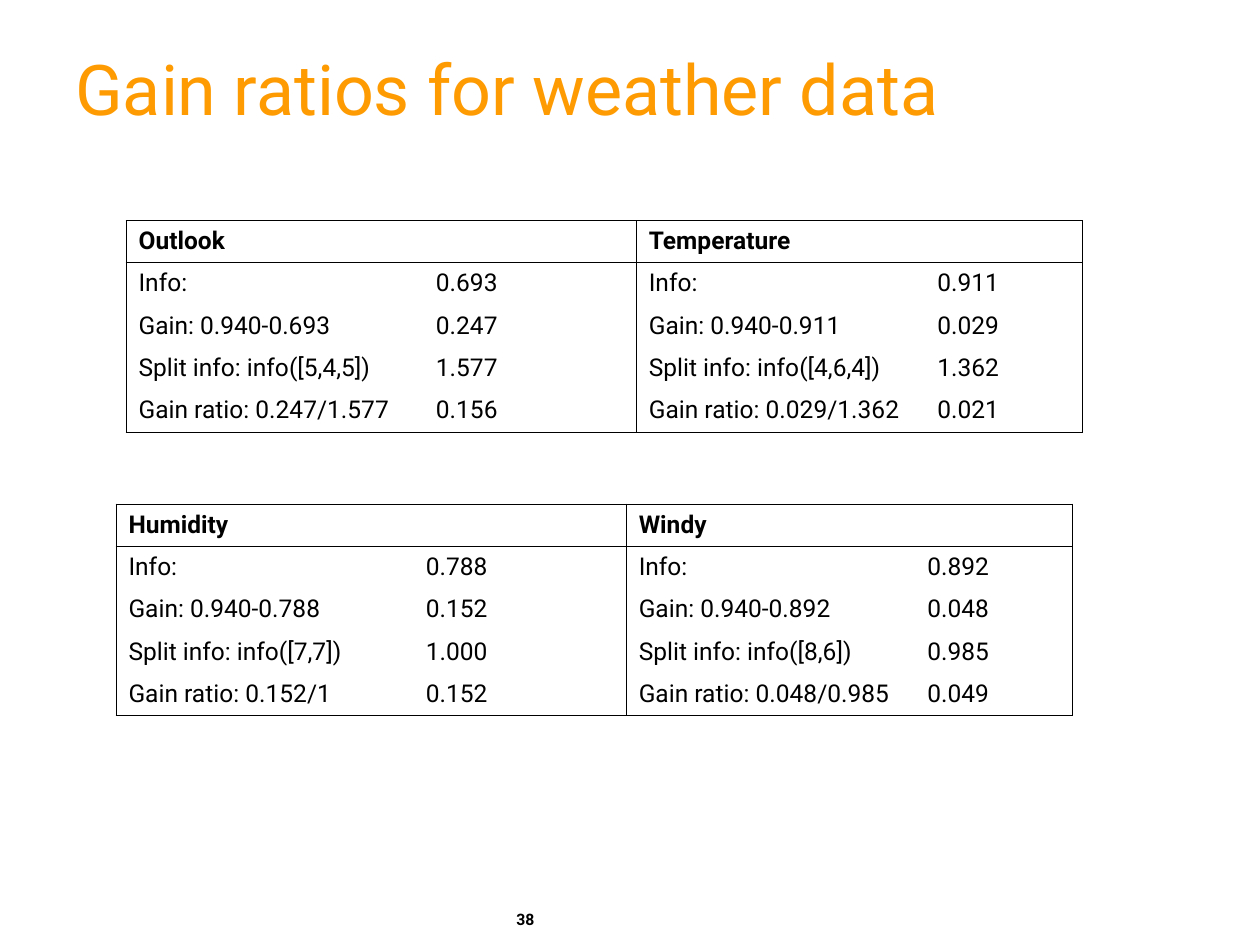
from lxml import etree
from pptx import Presentation
from pptx import util as u
from pptx.dml.color import RGBColor
from pptx.enum import text
from pptx.oxml.ns import qn

FONT = "Roboto"
BLACK = "000000"
ORANGE = "FE9B03"
BORDER_WIDTH = u.Pt(0.45)
COLUMN_WIDTHS = (2.36, 1.69, 2.29, 1.25)
LABELS = ("Info:", "Gain: ", "Split info: ", "Gain ratio: ")

# Attribute name, then (calculation, value) for each measure
WEATHER = (
    ("Outlook", (("", "0.693"), ("0.940-0.693", "0.247"),
                 ("info([5,4,5])", "1.577"), ("0.247/1.577", "0.156"))),
    ("Temperature", (("", "0.911"), ("0.940-0.911", "0.029"),
                     ("info([4,6,4])", "1.362"), ("0.029/1.362", "0.021"))),
)
AIR = (
    ("Humidity", (("", "0.788"), ("0.940-0.788", "0.152"),
                  ("info([7,7])", "1.000"), ("0.152/1", "0.152"))),
    ("Windy", (("", "0.892"), ("0.940-0.892", "0.048"),
               ("info([8,6])", "0.985"), ("0.048/0.985", "0.049"))),
)


def color(hex_string):
    return RGBColor.from_string(hex_string)


def write(frame, words, size, hex_string=BLACK, bold=False):
    paragraph = frame.paragraphs[0]
    paragraph.text = words
    font = paragraph.font
    font.name, font.size, font.bold = FONT, u.Pt(size), bold
    font.color.rgb = color(hex_string)
    return paragraph


def add_text(slide, box, words, size, hex_string=BLACK, bold=False,
             anchor=text.MSO_ANCHOR.TOP, line_spacing=None):
    shape = slide.shapes.add_textbox(*map(u.Inches, box))
    frame = shape.text_frame
    frame.word_wrap = True
    frame.vertical_anchor = anchor
    paragraph = write(frame, words, size, hex_string, bold)
    paragraph.line_spacing = line_spacing


def set_borders(cell, sides):
    """Draw the named sides (any of L, R, T, B) and clear the others."""
    properties = cell._tc.get_or_add_tcPr()
    for side in "LRTB":
        line = etree.SubElement(properties, qn(f"a:ln{side}"), w=str(int(BORDER_WIDTH)))
        if side in sides:
            fill = etree.SubElement(line, qn("a:solidFill"))
            etree.SubElement(fill, qn("a:srgbClr"), val=BLACK)
        else:
            etree.SubElement(line, qn("a:noFill"))


def add_gain_table(slide, box, attributes):
    rows = len(LABELS) + 1
    shape = slide.shapes.add_table(rows, len(COLUMN_WIDTHS), *map(u.Inches, box))
    table = shape.table
    table.first_row = table.horz_banding = False
    for column, width in zip(table.columns, COLUMN_WIDTHS):
        column.width = u.Inches(width)
    for row in table.rows:
        row.height = u.Inches(box[3] / rows)

    # Each attribute takes a pair of columns under one merged heading
    for index, (name, measures) in enumerate(attributes):
        left, right = 2 * index, 2 * index + 1
        table.cell(0, left).merge(table.cell(0, right))
        write(table.cell(0, left).text_frame, name, 14, bold=True)
        for row, (label, (calculation, value)) in enumerate(zip(LABELS, measures), 1):
            write(table.cell(row, left).text_frame, label + calculation, 14)
            write(table.cell(row, right).text_frame, value, 14)

    # Frame the headings and the outside of each column pair
    for row in range(rows):
        for column in range(len(COLUMN_WIDTHS)):
            cell = table.cell(row, column)
            sides = "LR"[column % 2]
            if row == 0:
                sides = "LRTB"
            elif row == 1:
                sides += "T"
            elif row == rows - 1:
                sides += "B"
            set_borders(cell, sides)
            cell.fill.background()


def main():
    presentation = Presentation()
    presentation.slide_width = u.Inches(10)
    presentation.slide_height = u.Inches(7.5)
    slide = presentation.slides.add_slide(presentation.slide_layouts[6])

    # Title
    add_text(slide, (0.5, 0.25, 9.08, 1), "Gain ratios for weather data", 40, ORANGE,
             anchor=text.MSO_ANCHOR.MIDDLE, line_spacing=0.85)
    # Gain tables
    add_gain_table(slide, (1, 1.75, 7.58, 1.68), WEATHER)
    add_gain_table(slide, (0.92, 4, 7.58, 1.68), AIR)
    # Page number
    add_text(slide, (4, 7.17, 1.02, 0.33), "38", 9, bold=True)

    presentation.save("out.pptx")


if __name__ == "__main__":
    main()
